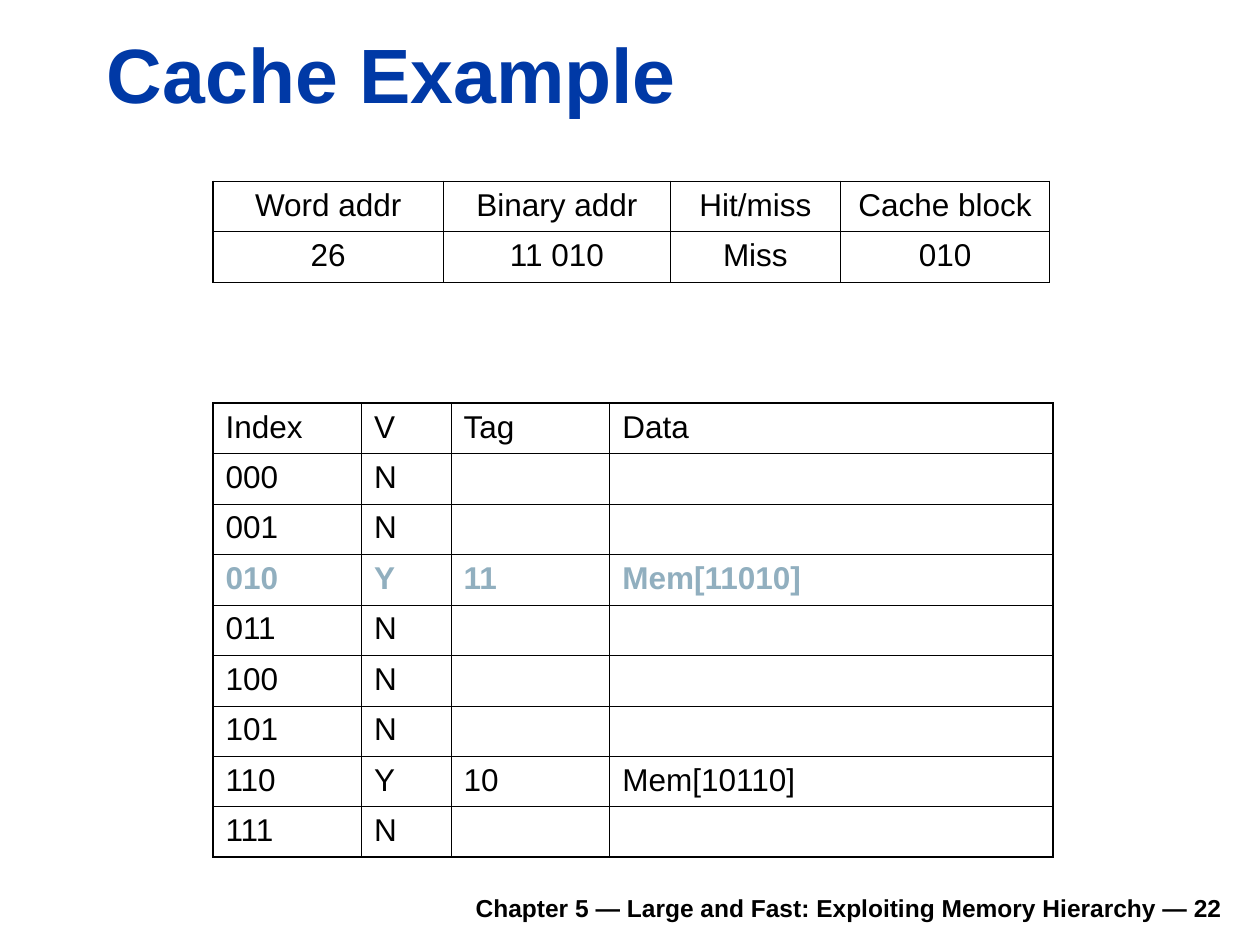
from lxml import etree
from pptx import Presentation
from pptx.dml.color import RGBColor
from pptx.enum import text
from pptx.oxml import ns
from pptx.util import Emu, Inches, Pt


def tint(code):
    return RGBColor.from_string(code)


def write(frame, words, size=18, color="000000", bold=False, align="LEFT"):
    para = frame.paragraphs[0]
    para.alignment = getattr(text.PP_ALIGN, align)
    if words:
        run = para.add_run()
        run.text = words
        font = run.font
        font.name, font.size, font.bold = "Arial", Pt(size), bold
        font.color.rgb = tint(color)


class Page:
    ink, blue, mist = "000000", "0039A6", "91AFBF"
    thin, mid, thick = 0.45, 0.75, 1.08
    row = 4

    def __init__(self, deck):
        self.slide = deck.slides.add_slide(deck.slide_layouts[6])
        self.unit = deck.slide_width / 100

    def span(self, count):
        return Emu(round(count * self.unit))

    def label(self, x, y, wide, high, words, **form):
        box = self.slide.shapes.add_textbox(*map(self.span, (x, y, wide, high)))
        frame = box.text_frame
        frame.word_wrap = True
        frame.vertical_anchor = text.MSO_ANCHOR.BOTTOM
        write(frame, words, **form)

    def edge(self, cell, sides):
        props = cell._tc.get_or_add_tcPr()
        for spot, (side, width) in enumerate(sides.items()):
            line = etree.Element(ns.qn("a:ln" + side), w=str(Pt(width)))
            fill = etree.SubElement(line, ns.qn("a:solidFill"))
            etree.SubElement(fill, ns.qn("a:srgbClr"), val=self.ink)
            props.insert(spot, line)

    def table(self, x, y, cols, rows, mark=None, align="LEFT"):
        deep, wide = len(rows), len(cols)
        size = map(self.span, (x, y, sum(cols), deep * self.row))
        grid = self.slide.shapes.add_table(deep, wide, *size).table
        grid.first_row = grid.horz_banding = False
        for col, width in zip(grid.columns, cols):
            col.width = self.span(width)
        across = [self.thick] + [self.thin] * (wide - 1) + [self.thick]
        down = [self.thick, self.mid] + [self.thin] * (deep - 2) + [self.thick]
        for r, words in enumerate(rows):
            grid.rows[r].height = self.span(self.row)
            hit = r == mark
            for c, word in enumerate(words):
                cell = grid.cell(r, c)
                cell.fill.background()
                self.edge(cell, {"L": across[c], "R": across[c + 1],
                                 "T": down[r], "B": down[r + 1]})
                write(cell.text_frame, word, align=align, bold=hit,
                      color=self.mist if hit else self.ink)


def main():
    deck = Presentation()
    deck.slide_width, deck.slide_height = Inches(10), Inches(7.5)
    page = Page(deck)
    page.label(18.5, 69.8, 79.5, 3.9,
               "Chapter 5 — Large and Fast: Exploiting Memory Hierarchy — 22",
               size=14, bold=True, align="RIGHT")
    page.label(7.5, 1.6, 90.3, 8.3, "Cache Example",
               size=44, bold=True, color=page.blue)
    full = {2: ("Y", "11", "Mem[11010]"), 6: ("Y", "10", "Mem[10110]")}
    blocks = [(f"{i:03b}", *full.get(i, ("N", "", ""))) for i in range(8)]
    page.table(16.9, 32, (11.8, 7.1, 12.6, 35.2),
               [("Index", "V", "Tag", "Data"), *blocks], mark=3)
    page.table(16.9, 14.4, (18.3, 18, 13.5, 16.6),
               [("Word addr", "Binary addr", "Hit/miss", "Cache block"),
                ("26", "11 010", "Miss", "010")], align="CENTER")
    deck.save("out.pptx")


if __name__ == "__main__":
    main()
